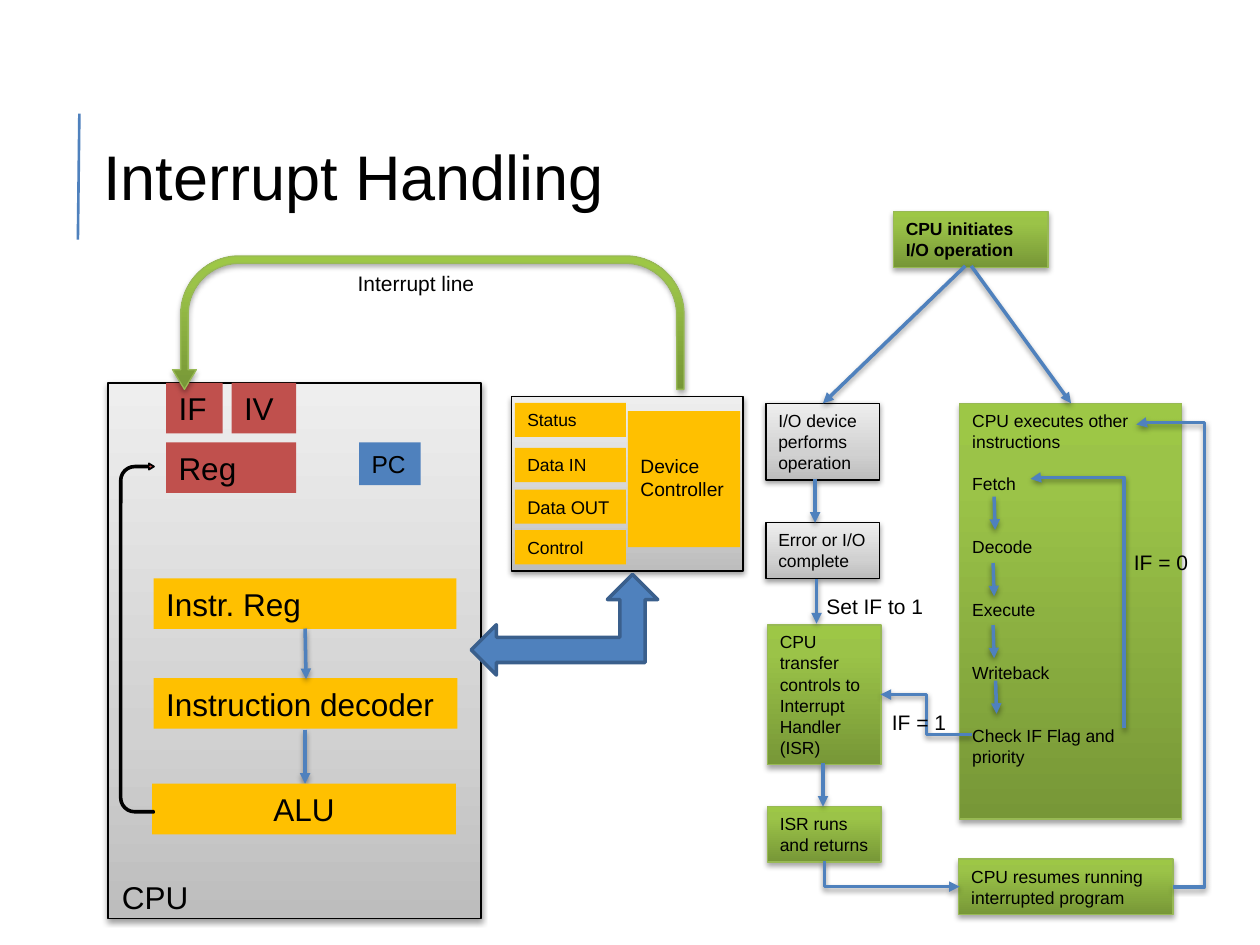
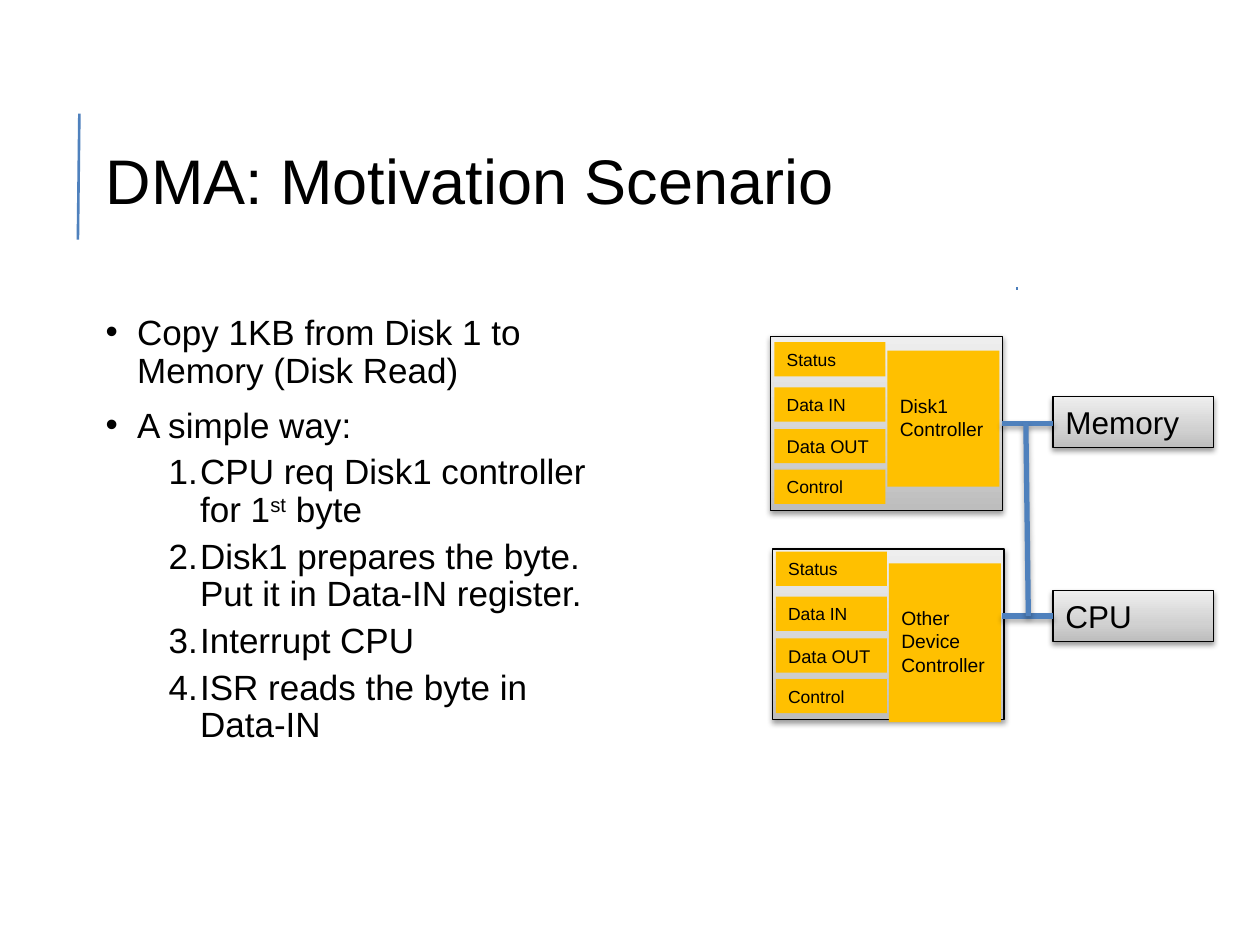
from lxml.etree import SubElement
from pptx import Presentation
from pptx.dml.color import RGBColor
from pptx.enum.shapes import MSO_CONNECTOR, MSO_SHAPE
from pptx.enum.text import MSO_ANCHOR, PP_ALIGN
from pptx.oxml.ns import qn
from pptx.util import Cm, Pt

FONT = "Arial"
COLORS = {
    "text": "000000",
    "blue": "4F81BD",
    "dark_blue": "3A5F8C",
    "tick": "4B7EBC",
    "red": "C0504D",
    "amber": "FFC000",
    "green_line": "98B955",
}
# Gradient stops run from the bottom edge to the top edge
GRADIENTS = {
    "grey": [(0, "BDBDBD"), (35, "D1D1D1"), (100, "EEEEEE")],
    "green": [(0, "779737"), (80, "9BC348"), (100, "9DC746")],
}
GRADIENT_LINES = {"grey": "text", "green": "green_line"}
SHADOWS = {"grey": (38, 20000), "green": (35, 23000)}  # opacity, distance
U_TURN = (0.055, 0.089, 0.147, 0.438, 1)


def rgb(name):
    return RGBColor.from_string(COLORS[name])


# Formatting that needs XML
def add_color(parent, value):
    return SubElement(parent, qn("a:srgbClr"), val=value)


def add_shadow(properties, name):
    opacity, distance = SHADOWS[name]
    effects = properties.find(qn("a:effectLst"))
    if effects is None:
        effects = SubElement(properties, qn("a:effectLst"))
    shadow = SubElement(effects, qn("a:outerShdw"), blurRad="40000",
                        dist=str(distance), dir="5400000", rotWithShape="0")
    color = add_color(shadow, COLORS["text"])
    SubElement(color, qn("a:alpha"), val=str(opacity * 1000))


def fill_gradient(shape, name):
    shape.fill.gradient()
    gradient = shape._element.spPr.find(qn("a:gradFill"))
    stops = gradient.find(qn("a:gsLst"))
    for stop in list(stops):
        stops.remove(stop)
    for position, value in GRADIENTS[name]:
        add_color(SubElement(stops, qn("a:gs"), pos=str(position * 1000)), value)
    gradient.find(qn("a:lin")).set("ang", "16200000")


def set_bullet(paragraph, indent, numbered):
    properties = paragraph._p.get_or_add_pPr()
    properties.set("marL", str(Cm(indent)))
    properties.set("indent", str(-Cm(0.635)))
    SubElement(properties, qn("a:buFont"), typeface=FONT)
    if numbered:
        SubElement(properties, qn("a:buAutoNum"), type="arabicPeriod")
    else:
        SubElement(properties, qn("a:buChar"), char="•")


# Text
def write_text(paragraph, text, size=18, bold=False, align=PP_ALIGN.LEFT,
               line_spacing=None, before=None):
    """Write one paragraph; a part between carets is superscript."""
    paragraph.alignment = align
    paragraph.line_spacing = line_spacing
    if before is not None:
        paragraph.space_before = Pt(before)
    for index, part in enumerate(text.split("^")):
        run = paragraph.add_run()
        run.text = part
        run.font.name = FONT
        run.font.size = Pt(size)
        run.font.bold = bold
        run.font.color.rgb = rgb("text")
        if index % 2:
            run.font._element.set("baseline", "30000")


def next_paragraph(frame, index):
    return frame.paragraphs[0] if index == 0 else frame.add_paragraph()


def add_label(slide, place, text, size=12):
    frame = slide.shapes.add_textbox(*map(Cm, place)).text_frame
    frame.word_wrap = False
    write_text(frame.paragraphs[0], text, size=size)


def add_open_frame(slide, place):
    frame = slide.shapes.add_textbox(*map(Cm, place)).text_frame
    frame.word_wrap = True
    frame.margin_left = frame.margin_right = 0
    frame.margin_top = frame.margin_bottom = 0
    return frame


# Shapes
def add_block(slide, place, look, lines=(), kind=MSO_SHAPE.RECTANGLE,
              line=None, line_width=0.75, top_margin=0.13, gaps=None, **text_format):
    """Draw a preset shape in a plain colour or a named gradient."""
    shape = slide.shapes.add_shape(kind, *map(Cm, place))
    shape.shadow.inherit = False
    if look in GRADIENTS:
        fill_gradient(shape, look)
        line = GRADIENT_LINES[look]
        add_shadow(shape._element.spPr, look)
    else:
        shape.fill.solid()
        shape.fill.fore_color.rgb = rgb(look)
    if line:
        shape.line.color.rgb = rgb(line)
        shape.line.width = Pt(line_width)
    else:
        shape.line.fill.background()
    frame = shape.text_frame
    frame.vertical_anchor = MSO_ANCHOR.TOP
    frame.margin_top = Cm(top_margin)
    for index, text in enumerate(lines):
        write_text(next_paragraph(frame, index), text,
                   before=gaps[index] if gaps else None, **text_format)
    return shape


def add_u_turn(slide, place, look, flips, rotation=0, **style):
    shape = add_block(slide, place, look, kind=MSO_SHAPE.U_TURN_ARROW, **style)
    for index, value in enumerate(U_TURN):
        shape.adjustments[index] = value
    shape.rotation = rotation
    for flip in flips:
        shape._element.spPr.xfrm.set(flip, "1")


# Lines
def add_line(slide, start, end, color="blue", width=2, arrow=True,
             shadow="grey", kind=MSO_CONNECTOR.STRAIGHT):
    connector = slide.shapes.add_connector(kind, *map(Cm, (*start, *end)))
    connector.line.color.rgb = rgb(color)
    connector.line.width = Pt(width)
    if arrow:
        SubElement(connector.line._get_or_add_ln(), qn("a:tailEnd"), type="triangle")
    properties = connector._element.spPr
    if shadow:
        add_shadow(properties, shadow)
    else:
        SubElement(properties, qn("a:effectLst"))
    return connector


def add_elbow(slide, start, end, bends=3, rotation=0, adjustments=()):
    """Draw an elbow arrow; start and end are given before the rotation."""
    connector = add_line(slide, start, end, kind=MSO_CONNECTOR.ELBOW)
    properties = connector._element.spPr
    properties.xfrm.set("rot", str(rotation * 60000))
    geometry = properties.find(qn("a:prstGeom"))
    geometry.set("prst", f"bentConnector{bends}")
    guides = geometry.find(qn("a:avLst"))
    if guides is None:
        guides = SubElement(geometry, qn("a:avLst"))
    for index, value in enumerate(adjustments, start=1):
        SubElement(guides, qn("a:gd"), name=f"adj{index}",
                   fmla=f"val {round(value * 100000)}")


# Parts both slides share
def add_titled_slide(presentation, title, place):
    slide = presentation.slides.add_slide(presentation.slide_layouts[6])
    add_line(slide, (1.57, 4.83), (1.6, 2.29), width=1.5, arrow=False, shadow=None)
    frame = add_open_frame(slide, place)
    frame.vertical_anchor = MSO_ANCHOR.MIDDLE
    write_text(frame.paragraphs[0], title, size=36, line_spacing=0.9)
    return slide


def add_device(slide, left, top, label, height=3.51, register_top=0.12, label_height=2.74):
    add_block(slide, (left, top, 4.67, height), "grey")
    registers = [("Status", 0, 10), ("Data IN", 0.91, 10),
                 ("Data OUT", 1.75, 10.5), ("Control", 2.57, 10)]
    for name, offset, size in registers:
        add_block(slide, (left + 0.07, top + register_top + offset, 2.24, 0.69),
                  "amber", [name], size=size)
    add_block(slide, (left + 2.35, top + 0.29, 2.26, label_height), "amber",
              [label], top_margin=0.87, size=11)


# Slide 1
def add_cpu(slide):
    add_block(slide, (2.18, 7.72, 7.52, 10.8), "grey")
    add_block(slide, (3.1, 11.66, 6.1, 1.02), "amber", ["Instr. Reg"])
    add_block(slide, (7.24, 8.92, 1.24, 0.86), "blue", ["PC"], size=14)
    add_block(slide, (3.35, 8.92, 2.62, 1.02), "red", ["Reg"])
    add_label(slide, (2.21, 17.58, 1.85, 1.02), "CPU", size=18)
    add_block(slide, (3.1, 13.67, 6.12, 1.02), "amber", ["Instruction decoder"])
    add_line(slide, (6.15, 12.67), (6.17, 13.69))
    add_line(slide, (6.15, 14.71), (6.15, 15.8))
    add_block(slide, (3.07, 15.8, 6.12, 1.02), "amber", ["ALU"], align=PP_ALIGN.CENTER)
    add_u_turn(slide, (-0.76, 12.52, 7.04, 0.69), "red", ("flipH", "flipV"),
               rotation=90, line="text", line_width=1)
    add_block(slide, (3.35, 7.72, 1.14, 1.02), "red", ["IF"])
    add_block(slide, (4.67, 7.72, 1.3, 1.02), "red", ["IV"])


def add_interrupt_flow(slide):
    # Device side
    add_block(slide, (15.44, 8.13, 2.29, 1.55), "grey",
              ["I/O device", "performs", "operation"], size=10)
    add_block(slide, (15.44, 10.54, 2.29, 1.12), "grey", ["Error or I/O complete"], size=10)
    add_line(slide, (16.43, 9.65), (16.43, 10.54))
    add_block(slide, (15.47, 12.6, 2.29, 2.82), "green",
              ["CPU transfer controls to", "Interrupt", "Handler (ISR)"], size=10)
    add_line(slide, (16.46, 11.68), (16.46, 12.57))
    add_block(slide, (15.47, 16.26, 2.29, 1.12), "green", ["ISR runs and returns"], size=10)
    add_line(slide, (16.59, 15.39), (16.59, 16.26))
    add_label(slide, (16.41, 11.84, 2.49, 0.76), "Set IF to 1")

    # Instruction cycle
    steps = ["CPU executes other instructions", "Fetch", "Decode", "Execute",
             "Writeback", "Check IF Flag and priority"]
    add_block(slide, (19.35, 8.13, 4.47, 8.38), "green", steps, size=10,
              gaps=[0, 12, 24, 24, 24, 24])
    add_elbow(slide, (19.2, 13.11), (24.23, 11.23), rotation=270, adjustments=[1.005])
    add_label(slide, (22.61, 10.95, 1.63, 0.76), "IF = 0")
    for x, y in [(20.04, 10.01), (20.02, 11.35), (20.02, 12.6), (20.07, 13.72)]:
        add_line(slide, (x, y), (x + 0.02, y + 0.67))

    # Return to the interrupted program
    add_elbow(slide, (17.75, 14), (19.6, 14.81), rotation=180)
    add_label(slide, (17.73, 14.17, 1.63, 0.76), "IF = 1")
    add_block(slide, (19.33, 17.32, 4.32, 1.12), "green",
              ["CPU resumes running interrupted program"], size=10)
    add_elbow(slide, (18.24, 16.26), (17.73, 18.98), bends=2, rotation=270)
    add_elbow(slide, (23.65, 17.88), (22.91, 8.56), bends=4, adjustments=[-0.852, 1.004])

    # Start
    add_block(slide, (18.01, 4.27, 3.12, 1.12), "green",
              ["CPU initiates I/O operation"], size=10, bold=True)
    add_line(slide, (19.46, 5.36), (16.59, 8.13))
    add_line(slide, (19.58, 5.36), (21.59, 8.13))


def build_interrupt_slide(presentation):
    slide = add_titled_slide(presentation, "Interrupt Handling", (2.08, 3, 23.32, 1.27))
    add_cpu(slide)
    add_label(slide, (6.96, 5.33, 2.87, 0.76), "Interrupt line")
    add_device(slide, 10.31, 8, "Device Controller")
    add_u_turn(slide, (3.48, 5.16, 10.31, 2.69), "green", ("flipH",))
    add_interrupt_flow(slide)
    add_block(slide, (9.5, 11.58, 3.76, 2.03), "blue", kind=MSO_SHAPE.LEFT_UP_ARROW,
              line="dark_blue", line_width=2)


# Slide 2
def build_dma_slide(presentation):
    slide = add_titled_slide(presentation, "DMA: Motivation Scenario",
                             (2.13, 1.63, 20.24, 4.17))
    items = [
        ("Copy 1KB from Disk 1 to Memory (Disk Read)", False),
        ("A simple way:", False),
        ("CPU req Disk1 controller for 1^st^ byte", True),
        ("Disk1 prepares the byte. Put it in Data-IN register.", True),
        ("Interrupt CPU", True),
        ("ISR reads the byte in Data-IN", True),
    ]
    frame = add_open_frame(slide, (2.13, 6.35, 9.96, 11.18))
    for index, (text, numbered) in enumerate(items):
        paragraph = next_paragraph(frame, index)
        write_text(paragraph, text, size=20, line_spacing=0.9, before=5 if numbered else 10)
        paragraph.level = int(numbered)
        set_bullet(paragraph, 1.905 if numbered else 0.635, numbered)

    # Devices joined to memory and CPU by a bus
    add_device(slide, 15.54, 6.78, "Disk1 Controller")
    add_device(slide, 15.57, 11.07, "Other Device Controller", height=3.43,
               register_top=0.05, label_height=3.2)
    for name, top in [("Memory", 8), ("CPU", 11.91)]:
        add_block(slide, (21.23, top, 3.23, 1.02), "grey", [name])
    add_line(slide, (20.5, 5.79), (20.5, 5.84), color="tick", width=0.75,
             arrow=False, shadow=None)
    for start, end in [((20.19, 8.53), (21.23, 8.53)), ((20.19, 12.42), (21.23, 12.42)),
                       ((20.68, 8.53), (20.73, 12.42))]:
        add_line(slide, start, end, width=3, arrow=False, shadow="green")


def main():
    presentation = Presentation()
    presentation.slide_width = Cm(25.4)
    presentation.slide_height = Cm(19.05)
    build_interrupt_slide(presentation)
    build_dma_slide(presentation)
    presentation.save("out.pptx")


main()
